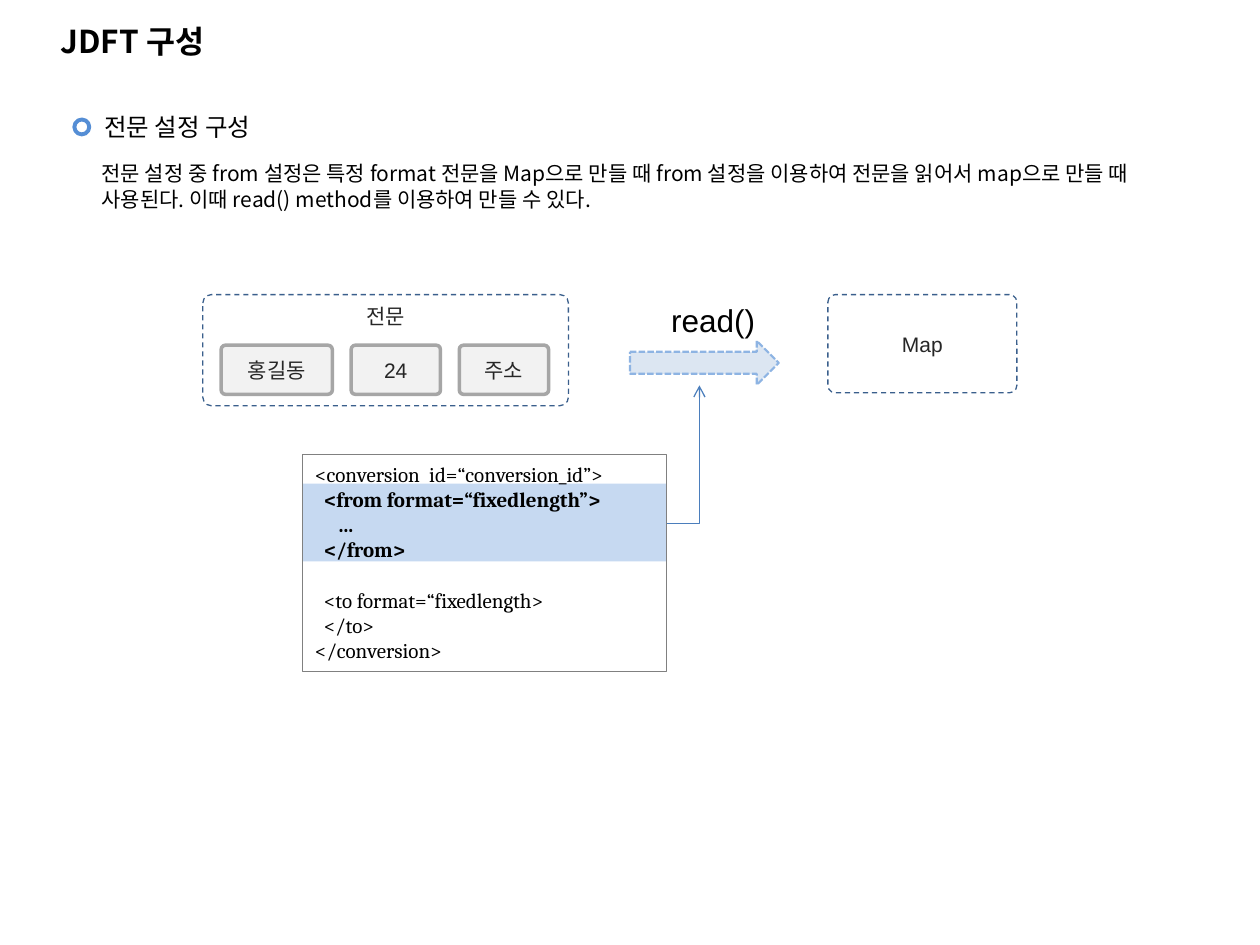
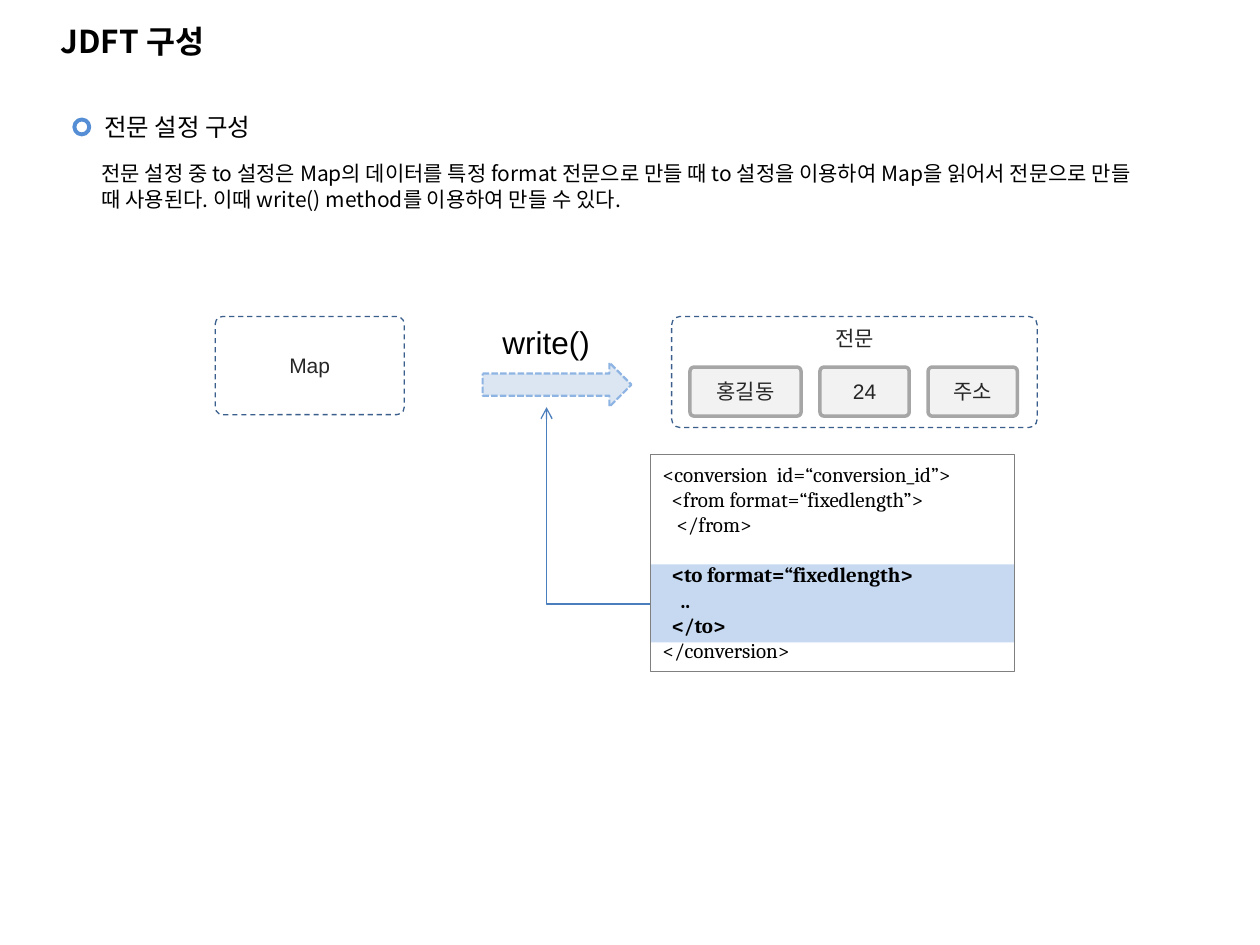
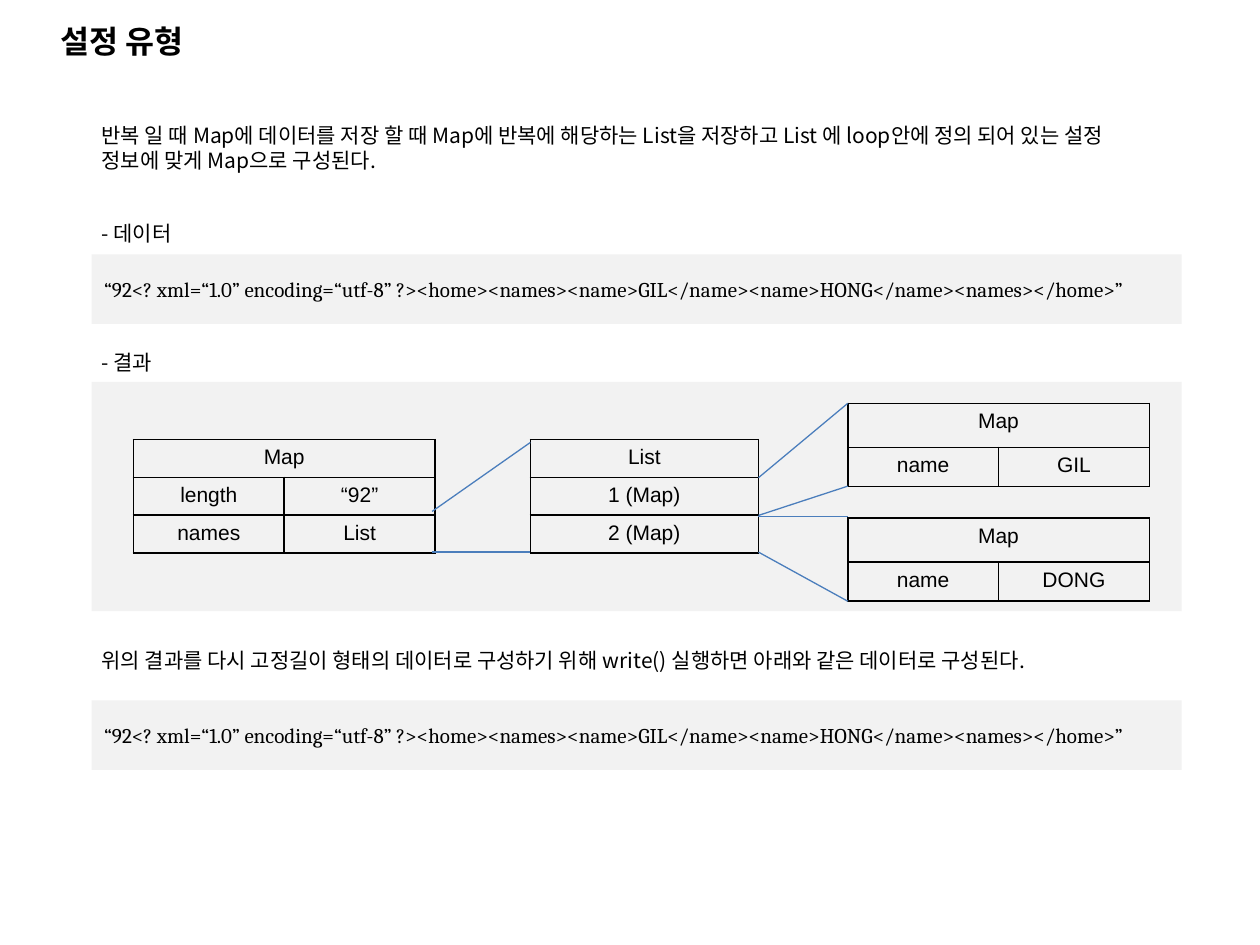
from lxml.etree import SubElement
from pptx import Presentation
from pptx.dml.color import RGBColor
from pptx.enum.dml import MSO_LINE
from pptx.enum.shapes import MSO_CONNECTOR as LINK, MSO_SHAPE as SHAPE
from pptx.enum.text import MSO_ANCHOR as ANCHOR, PP_ALIGN as ALIGN
from pptx.oxml.ns import qn
from pptx.util import Cm, Pt

KOREAN, SANS, CODE = "Noto Sans CJK KR", "Arial", "Cambria"
BLACK = RGBColor(0x00, 0x00, 0x00)
DARK = RGBColor(0x26, 0x26, 0x26)
GRAY = RGBColor(0x80, 0x80, 0x80)
MID_GRAY = RGBColor(0xA6, 0xA6, 0xA6)
PALE_GRAY = RGBColor(0xF2, 0xF2, 0xF2)
NAVY = RGBColor(0x3A, 0x5F, 0x8C)
LINK_BLUE = RGBColor(0x4B, 0x7E, 0xBC)
RING_BLUE = RGBColor(0x55, 0x8E, 0xD5)
ARROW_LINE = RGBColor(0x8E, 0xB4, 0xE3)
ARROW_FILL = RGBColor(0xDC, 0xE6, 0xF2)
HIGHLIGHT = RGBColor(0xC6, 0xD9, 0xF1)
NOTE_X, NOTE_WIDTH = 1.8, 21.56

# Content: positions in cm; code lines are (indent, text, bold, lines skipped before)
FIELDS = [("홍길동", 2.24), ("24", 1.8), ("주소", 1.8)]
FLOWS = [
    dict(
        text="전문 설정 중 from 설정은 특정 format 전문을 Map으로 만들 때 from 설정을 "
             "이용하여 전문을 읽어서 map으로 만들 때 사용된다. 이때 read() method를 "
             "이용하여 만들 수 있다.",
        method="read()", top=5.94, message_x=4.09, map_x=16.69, arrow_x=12.7,
        method_x=13.28, code_x=6.1, highlight_y=9.75, link_x=(13.44, 14.1),
        code=[
            (0, "<conversion  id=“conversion_id”>", False, 0),
            (0.18, "<from format=“fixedlength”>", True, 0),
            (0.46, "…", True, 0),
            (0.18, "</from>", True, 0),
            (0.18, "<to format=“fixedlength>", False, 1),
            (0.18, "</to>", False, 0),
            (0, "</conversion>", False, 0),
        ],
    ),
    dict(
        text="전문 설정 중 to 설정은 Map의 데이터를 특정 format 전문으로 만들 때 to 설정을 "
             "이용하여 Map을 읽어서 전문으로 만들 때 사용된다. 이때 write() method를 "
             "이용하여 만들 수 있다.",
        method="write()", top=6.38, message_x=13.54, map_x=4.34, arrow_x=9.73,
        method_x=9.88, code_x=13.11, highlight_y=11.38, link_x=(13.11, 11.02),
        code=[
            (0, "<conversion  id=“conversion_id”>", False, 0),
            (0.18, "<from format=“fixedlength”>", False, 0),
            (0.28, "</from>", False, 0),
            (0.18, "<to format=“fixedlength>", True, 1),
            (0.36, "..", True, 0),
            (0.18, "</to>", True, 0),
            (0, "</conversion>", False, 0),
        ],
    ),
]

DATA = ("“92<? xml=“1.0” encoding=“utf-8” ?><home><names><name>GIL</name>"
        "<name>HONG</name><names></home>”")
NOTES = [  # y, height, text
    (2.34, 1.27, "반복 일 때 Map에 데이터를 저장 할 때 Map에 반복에 해당하는 List을 저장하고 "
                 "List 에 loop안에 정의 되어 있는 설정 정보에 맞게 Map으로 구성된다."),
    (4.32, 0.76, "- 데이터"),
    (6.93, 0.76, "- 결과"),
    (12.93, 0.76, "위의 결과를 다시 고정길이 형태의 데이터로 구성하기 위해 write() 실행하면 "
                  "아래와 같은 데이터로 구성된다."),
]
PANELS = [(5.13, 1.4, DATA), (7.7, 4.62, ""), (14.12, 1.4, DATA)]
TABLES = [  # x, y, column width, row heights, rows
    (2.69, 8.86, 3.04, [0.76] * 3, [["Map"], ["length", "“92”"], ["names", "List"]]),
    (10.69, 8.86, 4.6, [0.76] * 3, [["List"], ["1 (Map)"], ["2 (Map)"]]),
    (17.09, 8.13, 3.04, [0.89, 0.79], [["Map"], ["name", "GIL"]]),
    (17.09, 10.44, 3.04, [0.89, 0.79], [["Map"], ["name", "DONG"]]),
]
LINKS = [
    (8.71, 10.31, 10.69, 8.92), (8.71, 11.13, 10.69, 11.13),
    (15.29, 9.63, 17.09, 8.13), (15.29, 10.39, 17.09, 9.8),
    (15.29, 10.41, 17.09, 10.41), (15.29, 11.13, 17.09, 12.12),
]


# Shared helpers
def style(p, font, size=12, color=BLACK, bold=False, align=ALIGN.LEFT):
    p.alignment = align
    for r in p.runs:
        r.font.name, r.font.size, r.font.bold = font, Pt(size), bold
        r.font.color.rgb = color
        SubElement(r.font._element, qn("a:ea")).set("typeface", KOREAN)


def add_text(s, box, text, size=12, font=KOREAN, bold=False, anchor=ANCHOR.TOP):
    tf = s.shapes.add_textbox(*map(Cm, box)).text_frame
    tf.word_wrap, tf.vertical_anchor = True, anchor
    tf.text = text
    style(tf.paragraphs[0], font, size, bold=bold)


def add_box(s, kind, box, fill=None, line=None, width=0.75, dash=None, adj=None):
    sp = s.shapes.add_shape(kind, *map(Cm, box))
    sp.shadow.inherit = False
    if fill is None:
        sp.fill.background()
    else:
        sp.fill.solid()
        sp.fill.fore_color.rgb = fill
    if line is None:
        sp.line.fill.background()
    else:
        sp.line.color.rgb, sp.line.width = line, Pt(width)
        if dash:
            sp.line.dash_style = dash
    if adj:
        sp.adjustments[0] = adj
    return sp


def label(sp, text, anchor=ANCHOR.MIDDLE, font=SANS, color=DARK, align=ALIGN.CENTER):
    tf = sp.text_frame
    tf.word_wrap, tf.vertical_anchor = True, anchor
    tf.text = text
    style(tf.paragraphs[0], font, color=color, align=align)


def add_link(s, x1, y1, x2, y2, bent=False):
    kind = LINK.ELBOW if bent else LINK.STRAIGHT
    cxn = s.shapes.add_connector(kind, Cm(x1), Cm(y1), Cm(x2), Cm(y2))
    cxn.line.color.rgb, cxn.line.width = LINK_BLUE, Pt(0.75)
    spPr = cxn._element.spPr
    if bent:
        spPr.find(qn("a:prstGeom")).set("prst", "bentConnector2")
        SubElement(spPr.find(qn("a:ln")), qn("a:tailEnd")).set("type", "arrow")
    SubElement(spPr, qn("a:effectLst"))


def add_grid(s, x, y, col_width, heights, rows):
    cols = max(map(len, rows))
    frame = s.shapes.add_table(len(rows), cols, Cm(x), Cm(y),
                               Cm(col_width * cols), Cm(sum(heights)))
    table = frame.table
    table.first_row = table.horz_banding = False
    for col in table.columns:
        col.width = Cm(col_width)
    for i, (height, texts) in enumerate(zip(heights, rows)):
        table.rows[i].height = Cm(height)
        for cell in table.rows[i].cells:
            tcPr = cell._tc.get_or_add_tcPr()
            for side in ("lnL", "lnR", "lnT", "lnB"):
                ln = SubElement(tcPr, qn(f"a:{side}"), w=str(Pt(1)))
                SubElement(SubElement(ln, qn("a:solidFill")),
                           qn("a:srgbClr"), val=str(BLACK))
            cell.fill.background()
        if len(texts) < cols:
            table.cell(i, 0).merge(table.cell(i, cols - 1))
        for j, text in enumerate(texts):
            tf = table.cell(i, j).text_frame
            tf.text = text
            style(tf.paragraphs[0], SANS, align=ALIGN.CENTER)


def new_slide(prs, title):
    s = prs.slides.add_slide(prs.slide_layouts[6])
    add_text(s, (0.97, 0.35, 22.86, 0.99), title, 18, bold=True, anchor=ANCHOR.BOTTOM)
    return s


# Parts of the conversion slides
def add_message(s, x, y):
    sp = add_box(s, SHAPE.ROUNDED_RECTANGLE, (x, y, 7.37, 2.24), line=NAVY,
                 dash=MSO_LINE.DASH, adj=0.076)
    label(sp, "전문", ANCHOR.TOP)
    x += 0.37
    for text, width in FIELDS:
        sp = add_box(s, SHAPE.ROUNDED_RECTANGLE, (x, y + 1.02, width, 0.99),
                     PALE_GRAY, MID_GRAY, 2, adj=0.085)
        label(sp, text)
        x += width + 0.38


def add_code(s, x, lines):
    sp = add_box(s, SHAPE.RECTANGLE, (x, 9.17, 7.34, 4.37), line=GRAY)
    tf = sp.text_frame
    tf.word_wrap, tf.vertical_anchor = True, ANCHOR.TOP
    tf.text = "\n".join(text for _, text, _, _ in lines)
    for p, (indent, _, bold, skipped) in zip(tf.paragraphs, lines):
        style(p, CODE, bold=bold)
        p._p.get_or_add_pPr().set("marL", str(Cm(indent)))
        p.space_before = Pt(14.4 * skipped)


def add_flow(prs, flow):
    s = new_slide(prs, "JDFT 구성")
    top, mark_y = flow["top"], flow["highlight_y"]
    add_box(s, SHAPE.RECTANGLE, (flow["code_x"], mark_y, 7.34, 1.57), HIGHLIGHT)
    # Heading and explanation
    add_box(s, SHAPE.OVAL, (1.5, 2.41, 0.3, 0.3), line=RING_BLUE, width=2.25)
    add_text(s, (1.85, 2.13, 22.86, 0.86), "전문 설정 구성", 14)
    add_text(s, (NOTE_X, 3.12, NOTE_WIDTH, 1.27), flow["text"])
    # Message, map and the arrow between them
    add_message(s, flow["message_x"], top)
    label(add_box(s, SHAPE.ROUNDED_RECTANGLE, (flow["map_x"], top, 3.81, 1.98),
                  line=NAVY, dash=MSO_LINE.DASH, adj=0.076), "Map")
    add_box(s, SHAPE.RIGHT_ARROW, (flow["arrow_x"], top + 0.93, 3, 0.89),
            ARROW_FILL, ARROW_LINE, 1.25, MSO_LINE.SQUARE_DOT)
    add_text(s, (flow["method_x"], top, 2.6, 1.02), flow["method"], 18, SANS)
    # Setting in use, linked to the arrow
    add_code(s, flow["code_x"], flow["code"])
    start, end = flow["link_x"]
    add_link(s, start, mark_y + 0.8, end, top + 1.83, bent=True)


def add_loop_result(prs):
    s = new_slide(prs, "설정 유형")
    for y, height, text in NOTES:
        add_text(s, (NOTE_X, y, NOTE_WIDTH, height), text)
    for y, height, text in PANELS:
        sp = add_box(s, SHAPE.RECTANGLE, (1.85, y, 21.97, height), PALE_GRAY)
        if text:
            label(sp, text, font=CODE, color=BLACK, align=ALIGN.LEFT)
    for grid in TABLES:
        add_grid(s, *grid)
    for ends in LINKS:
        add_link(s, *ends)


def main():
    prs = Presentation()
    prs.slide_width, prs.slide_height = Cm(25.4), Cm(19.05)
    for flow in FLOWS:
        add_flow(prs, flow)
    add_loop_result(prs)
    prs.save("out.pptx")


if __name__ == "__main__":
    main()
